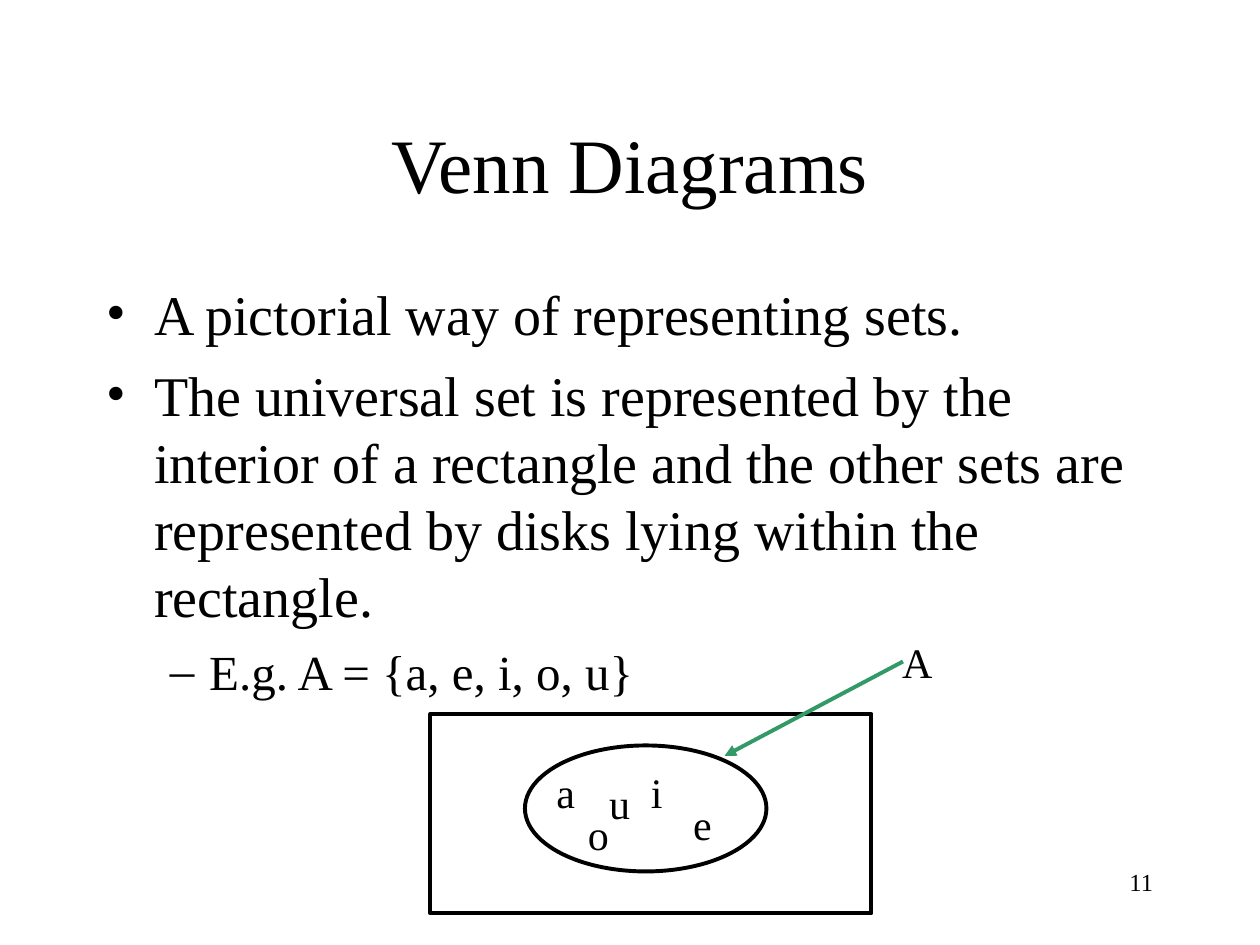
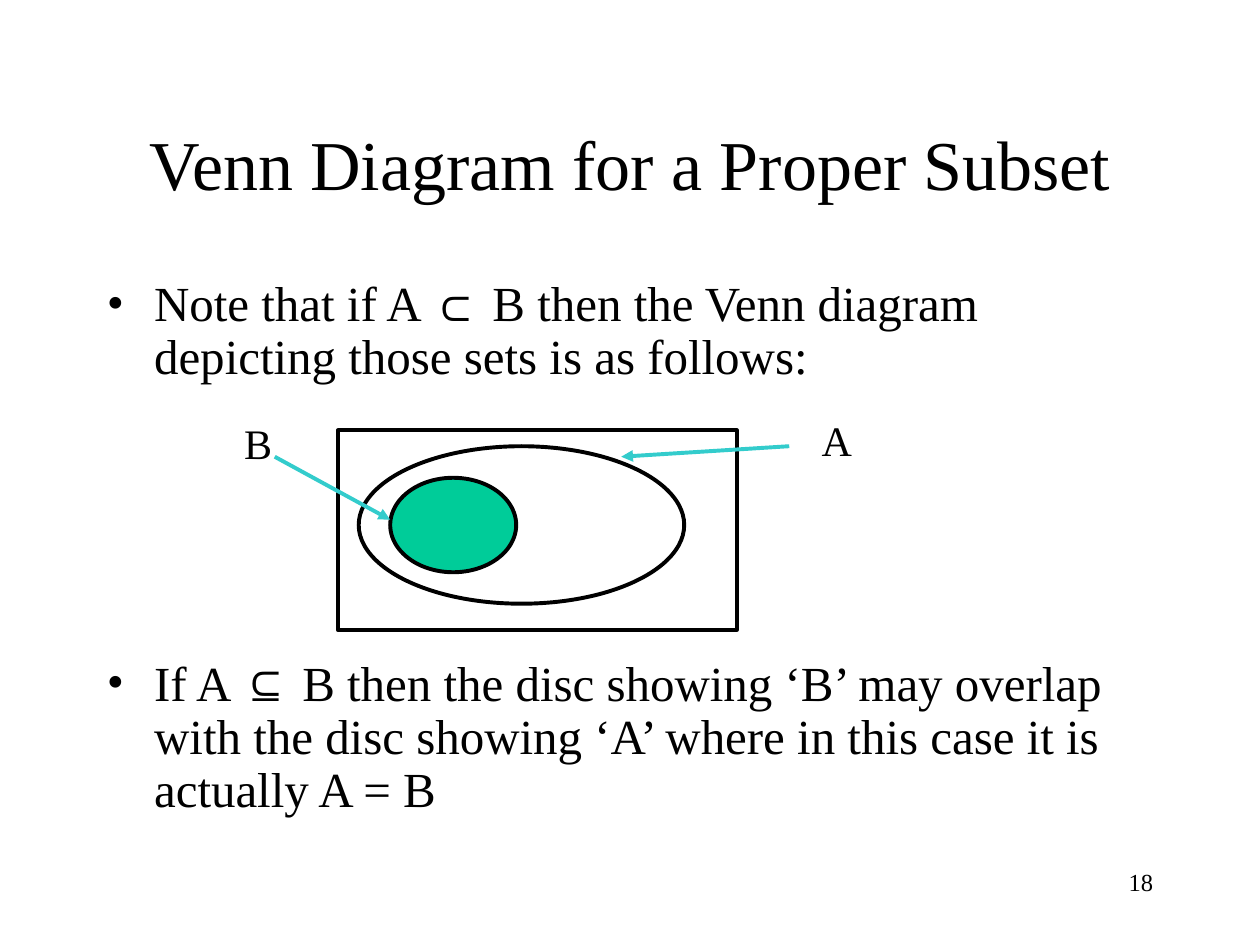
from lxml import etree
from pptx import Presentation
from pptx.dml.color import RGBColor
from pptx.enum import shapes, text
from pptx.oxml import ns
from pptx.util import Pt

SERIF, SYMBOL_FONT = "Times New Roman", "Arial"
BLACK, GREEN, AQUA, MINT = "000000", "339966", "33CCCC", "00CC99"
LINE_WIDTH = 2.25
TITLE_BOX = (54, 48, 612, 90)
BODY_BOX = (54, 156, 612, 324)
NUMBER_BOX = (516, 492, 150, 36)
# Bullet character, left margin and hanging indent for each level
BULLETS = [("•", 27, 27), ("–", 58.5, 22.5)]


def colour(hex_code):
    return RGBColor.from_string(hex_code)


def style_run(run, size, font=SERIF):
    run.font.size = Pt(size)
    run.font.name = font
    run.font.color.rgb = colour(BLACK)


def add_text_frame(slide, box, inset=True):
    frame = slide.shapes.add_textbox(*map(Pt, box)).text_frame
    frame.word_wrap = True
    if not inset:
        frame.margin_left = frame.margin_right = 0
        frame.margin_top = frame.margin_bottom = 0
    return frame


def add_titled_slide(deck, title, title_size, number):
    slide = deck.slides.add_slide(deck.slide_layouts[5])
    heading = slide.shapes.title
    heading.left, heading.top, heading.width, heading.height = map(Pt, TITLE_BOX)
    frame = heading.text_frame
    frame.text = title
    frame.word_wrap = True
    frame.auto_size = text.MSO_AUTO_SIZE.NONE
    frame.vertical_anchor = text.MSO_ANCHOR.MIDDLE
    frame.paragraphs[0].alignment = text.PP_ALIGN.CENTER
    style_run(frame.paragraphs[0].runs[0], title_size)

    # Slide number
    footer = add_text_frame(slide, NUMBER_BOX).paragraphs[0]
    footer.text = number
    footer.alignment = text.PP_ALIGN.RIGHT
    style_run(footer.runs[0], 14)
    return slide


def set_bullet(paragraph, level):
    mark, margin, hanging = BULLETS[level]
    paragraph.level = level
    props = paragraph._p.get_or_add_pPr()
    props.set("marL", str(Pt(margin)))
    props.set("indent", str(-Pt(hanging)))
    tint = etree.SubElement(props, ns.qn("a:buClr"))
    etree.SubElement(tint, ns.qn("a:srgbClr"), val=BLACK)
    etree.SubElement(props, ns.qn("a:buFont"), typeface=SERIF)
    etree.SubElement(props, ns.qn("a:buChar"), char=mark)


def add_bullets(slide, points, line_spacing=1.0):
    """Each point is (level, size, space before, pieces of wording)."""
    frame = add_text_frame(slide, BODY_BOX)
    for index, (level, size, space_before, pieces) in enumerate(points):
        paragraph = frame.add_paragraph() if index else frame.paragraphs[0]
        paragraph.line_spacing = line_spacing
        paragraph.space_before = Pt(space_before)
        set_bullet(paragraph, level)
        for piece in pieces:
            run = paragraph.add_run()
            run.text = piece
            style_run(run, size, SYMBOL_FONT if piece in "⊂⊆" else SERIF)


def add_region(slide, kind, box, fill=None):
    region = slide.shapes.add_shape(kind, *map(Pt, box))
    region.shadow.inherit = False
    region.line.color.rgb = colour(BLACK)
    region.line.width = Pt(LINE_WIDTH)
    if fill:
        region.fill.solid()
        region.fill.fore_color.rgb = colour(fill)
    else:
        region.fill.background()


def add_universe(slide, box):
    add_region(slide, shapes.MSO_SHAPE.RECTANGLE, box)


def add_disk(slide, box, fill=None):
    add_region(slide, shapes.MSO_SHAPE.OVAL, box, fill)


def add_label(slide, letter, left, top, width=18):
    paragraph = add_text_frame(slide, (left, top, width, 29), inset=False).paragraphs[0]
    paragraph.text = letter
    paragraph.space_before = Pt(15)
    style_run(paragraph.runs[0], 24)


def add_arrow(slide, start, end, hex_code):
    arrow = slide.shapes.add_connector(
        shapes.MSO_CONNECTOR.STRAIGHT, *map(Pt, start + end))
    arrow.line.color.rgb = colour(hex_code)
    arrow.line.width = Pt(LINE_WIDTH)
    etree.SubElement(arrow.line._get_or_add_ln(), ns.qn("a:tailEnd"), type="triangle")
    etree.SubElement(arrow._element.spPr, ns.qn("a:effectLst"))


def build_venn_diagrams(deck):
    slide = add_titled_slide(deck, "Venn Diagrams", 44, "11")
    add_bullets(slide, [
        (0, 32, 8, ["A pictorial way of representing sets."]),
        (0, 32, 8, ["The universal set is represented by the interior of a "
                    "rectangle and the other sets are represented by disks "
                    "lying within the rectangle."]),
        (1, 28, 7, ["E.g. A = {a, e, i, o, u}"]),
    ])

    # Set of vowels inside the universal set
    add_universe(slide, (246, 408, 252, 114))
    add_disk(slide, (300, 426, 138, 72))
    vowels = {"a": (318, 438), "e": (396, 456), "i": (372, 438),
              "o": (336, 462), "u": (348, 444)}
    for vowel, (left, top) in vowels.items():
        add_label(slide, vowel, left, top, 12)
    add_arrow(slide, (516, 378), (414, 432), GREEN)
    add_label(slide, "A", 515.5, 363.5)


def build_proper_subset(deck):
    slide = add_titled_slide(deck, "Venn Diagram for a Proper Subset", 40, "18")
    # The second point starts below the diagram
    add_bullets(slide, [
        (0, 28, 7, ["Note that if A ", "⊂",
                    " B then the Venn diagram depicting those sets is as follows:"]),
        (0, 28, 156.5, ["If A ", "⊆",
                        " B then the disc showing ‘B’ may overlap with the disc "
                        "showing ‘A’ where in this case it is actually A = B"]),
    ], line_spacing=0.9)

    # Disk B lies within disk A
    add_universe(slide, (193, 246, 228, 114))
    add_disk(slide, (205, 255, 186, 90))
    add_disk(slide, (223, 273, 72, 54), MINT)
    add_arrow(slide, (451, 255), (355, 261), AQUA)
    add_arrow(slide, (157, 261), (223, 297), AQUA)
    add_label(slide, "B", 139.5, 238.5)
    add_label(slide, "A", 469.5, 237)


def main():
    deck = Presentation()
    deck.slide_width, deck.slide_height = Pt(720), Pt(540)
    build_venn_diagrams(deck)
    build_proper_subset(deck)
    deck.save("out.pptx")


if __name__ == "__main__":
    main()
